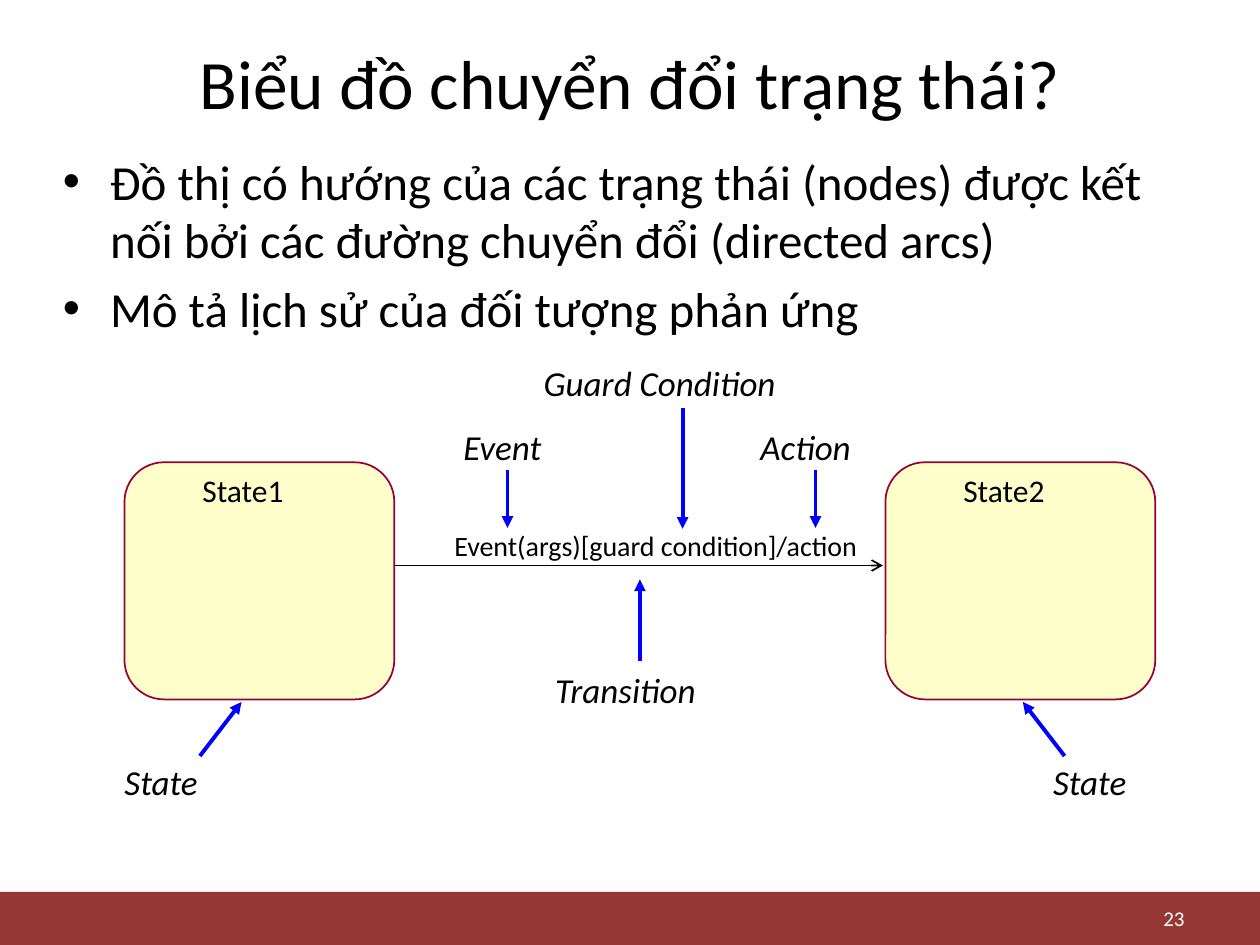
import lxml.etree
import pptx
import pptx.dml.color
import pptx.enum.shapes
import pptx.enum.text
import pptx.oxml.ns
import pptx.util
from pptx.util import Cm

ALIGN = pptx.enum.text.PP_ALIGN
ANCHOR = pptx.enum.text.MSO_ANCHOR
SHAPE = pptx.enum.shapes.MSO_SHAPE
BLACK, WHITE, BLUE, MAROON = "000000", "FFFFFF", "0000FF", "953735"
STATE_FILL, STATE_LINE = "FFFFCC", "990033"


def color(hex_value):
    return pptx.dml.color.RGBColor.from_string(hex_value)


def add_element(parent, tag, **attributes):
    return lxml.etree.SubElement(parent, pptx.oxml.ns.qn(tag), attributes)


def add_text(slide, text, left, top, width, height, size=20, ink=BLACK, italic=False,
             align=ALIGN.LEFT, anchor=ANCHOR.TOP, bullet=None, space_before=0):
    box = slide.shapes.add_textbox(Cm(left), Cm(top), Cm(width), Cm(height))
    frame = box.text_frame
    frame.word_wrap = True
    frame.vertical_anchor = anchor
    frame.text = text
    for index, paragraph in enumerate(frame.paragraphs):
        paragraph.alignment = align
        if index:
            paragraph.space_before = pptx.util.Pt(space_before)
        if bullet:
            properties = paragraph._p.get_or_add_pPr()
            properties.set("marL", str(int(Cm(0.95))))
            properties.set("indent", str(int(Cm(-0.95))))
            add_element(properties, "a:buFont", typeface="Arial")
            add_element(properties, "a:buChar", char=bullet)
        paragraph.font.size = pptx.util.Pt(size)
        paragraph.font.name = "Calibri"
        paragraph.font.italic = italic
        paragraph.font.color.rgb = color(ink)
    return box


def add_block(slide, kind, left, top, width, height, fill, line=None):
    block = slide.shapes.add_shape(kind, Cm(left), Cm(top), Cm(width), Cm(height))
    block.shadow.inherit = False
    block.fill.solid()
    block.fill.fore_color.rgb = color(fill)
    if line:
        block.line.color.rgb = color(line)
        block.line.width = pptx.util.Pt(1)
    else:
        block.line.fill.background()
    return block


def add_arrow(slide, x1, y1, x2, y2, ink=BLUE, weight=2.25, head="triangle"):
    arrow = slide.shapes.add_connector(
        pptx.enum.shapes.MSO_CONNECTOR.STRAIGHT, Cm(x1), Cm(y1), Cm(x2), Cm(y2))
    arrow.line.color.rgb = color(ink)
    arrow.line.width = pptx.util.Pt(weight)
    add_element(arrow.line._get_or_add_ln(), "a:tailEnd", type=head)
    add_element(arrow._element.spPr, "a:effectLst")
    return arrow


def add_footer(slide, left, top, width, height):
    add_block(slide, SHAPE.RECTANGLE, left, top, width, height, MAROON)
    add_text(slide, "23", left + 18.21, top + 0.18, 5.92, 0.69, size=12, ink=WHITE,
             align=ALIGN.RIGHT, anchor=ANCHOR.MIDDLE)


def add_heading(slide, left, top, width, height):
    add_text(slide, "Biểu đồ chuyển đổi trạng thái?", left, top, width, height,
             size=39.6, align=ALIGN.CENTER, anchor=ANCHOR.MIDDLE)


def add_definition(slide, left, top, width, height):
    points = ["Đồ thị có hướng của các trạng thái (nodes) được kết nối bởi "
              "các đường chuyển đổi (directed arcs)",
              "Mô tả lịch sử của đối tượng phản ứng"]
    add_text(slide, "\n".join(points), left, top, width, height,
             size=28, bullet="•", space_before=5.6)


def add_state(slide, name, left, top, width, height):
    add_block(slide, SHAPE.ROUNDED_RECTANGLE, left, top, width, height,
              STATE_FILL, STATE_LINE)
    add_text(slide, name, left + 1.32, top + 0.05, 2.82, 1.02, size=18)


def add_diagram(slide, left, top, width, height):
    state_width, state_height, state_top = 5.44, 4.78, top + 2.16
    right_state = left + width - state_width
    add_state(slide, "State1", left, state_top, state_width, state_height)
    add_state(slide, "State2", right_state, state_top, state_width, state_height)

    transition_y = top + 4.24
    add_arrow(slide, left + state_width, transition_y, right_state - 0.05, transition_y,
              ink=BLACK, weight=1, head="arrow")
    add_text(slide, "Event(args)[guard condition]/action",
             left + 6.4, top + 3.38, 8.86, 0.94, size=16)

    caption_height = 1.09
    state_caption_y = height - caption_height
    callouts = [
        ("Guard Condition", 8.2, 0, 6.07, (11.25, 1.07, 11.25, 3.5)),
        ("Event", 6.58, 1.3, 2.44, (7.72, 2.31, 7.72, 3.48)),
        ("Action", 12.57, 1.3, 2.72, (13.93, 2.31, 13.93, 3.48)),
        ("Transition", 8.43, 6.2, 3.91, (10.39, 6.17, 10.39, 4.52)),
        ("State", -0.25, state_caption_y, 2.24, (1.52, 8.08, 2.36, 6.99)),
        ("State", 18.47, state_caption_y, 2.24, (18.95, 8.08, 18.11, 6.99)),
    ]
    for caption, x, y, caption_width, (x1, y1, x2, y2) in callouts:
        add_text(slide, caption, left + x, top + y, caption_width, caption_height,
                 italic=True)
        add_arrow(slide, left + x1, top + y1, left + x2, top + y2)


def main():
    presentation = pptx.Presentation()
    presentation.slide_width = Cm(25.4)
    presentation.slide_height = Cm(19.05)
    slide = presentation.slides.add_slide(presentation.slide_layouts[6])
    add_footer(slide, 0, 17.98, 25.4, 1.07)
    add_heading(slide, 1.27, 0.76, 22.86, 1.78)
    add_definition(slide, 1.02, 2.92, 23.22, 4.55)
    add_diagram(slide, 2.51, 7.16, 20.78, 9.14)
    presentation.save("out.pptx")


if __name__ == "__main__":
    main()
